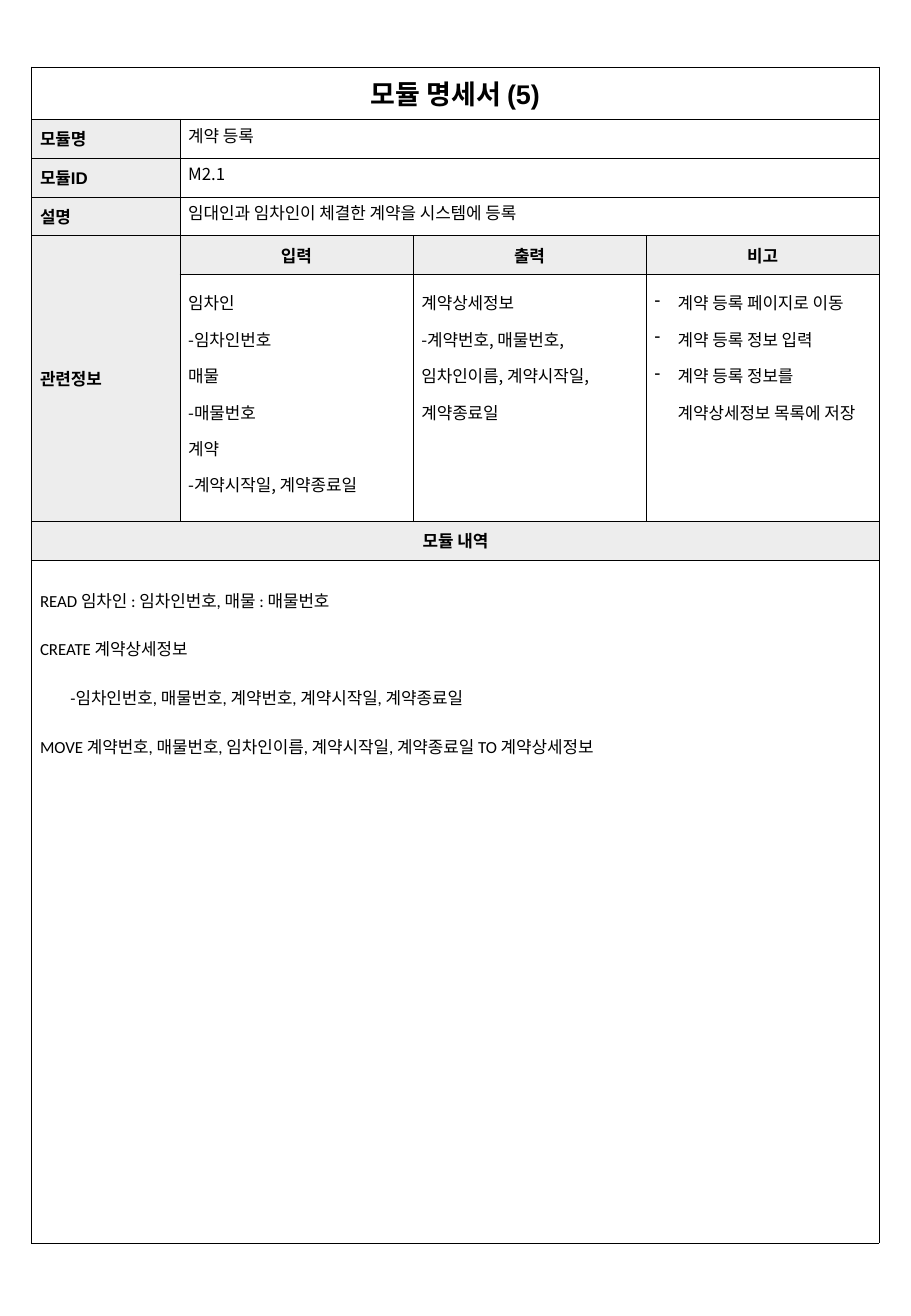
from pptx import Presentation
from pptx.dml.color import RGBColor as Rgb
from pptx.enum.text import MSO_ANCHOR as Anchor, PP_ALIGN as Align
from pptx.oxml import parse_xml as to_xml
from pptx.oxml.ns import nsdecls
from pptx.util import Inches, Pt

BLACK, WHITE, GREY = "000000", "FFFFFF", "EDEDED"
HEAD, BODY, CODE = "Arial", "Noto Sans CJK KR", "Calibri"
COLS = [122, 192, 192, 192]
ROWS = [43, 32, 32, 32, 32, 203, 32, 562]
FACTS = [
    ("모듈명", "계약 등록"),
    ("모듈ID", "M2.1"),
    ("설명", "임대인과 임차인이 체결한 계약을 시스템에 등록"),
]
INPUT = ["임차인", "-임차인번호", "매물", "-매물번호", "계약", "-계약시작일, 계약종료일"]
OUTPUT = ["계약상세정보", "-계약번호, 매물번호, 임차인이름, 계약시작일, 계약종료일"]
NOTES = ["계약 등록 페이지로 이동", "계약 등록 정보 입력",
         "계약 등록 정보를 계약상세정보 목록에 저장"]
STEPS = [
    "READ 임차인 : 임차인번호, 매물 : 매물번호",
    "CREATE 계약상세정보",
    "-임차인번호, 매물번호, 계약번호, 계약시작일, 계약종료일",
    "MOVE 계약번호, 매물번호, 임차인이름, 계약시작일, 계약종료일 TO 계약상세정보",
]


def color(code):
    return Rgb.from_string(code)


def write(para, text, font=BODY, size=10, bold=False, align=Align.LEFT,
          gap=None, left=0, bullet=None):
    para.alignment = align
    if gap:
        para.line_spacing = gap
    props = para._p.get_or_add_pPr()
    if left:
        props.set("marL", str(Inches(left)))
    if bullet:
        props.set("indent", str(-Inches(left)))
        props.append(to_xml(f'<a:buChar {nsdecls("a")} char="{bullet}"/>'))
    run = para.add_run()
    run.text = text
    run.font.name, run.font.size, run.font.bold = font, Pt(size), bold
    run.font.color.rgb = color(BLACK)
    run._r.get_or_add_rPr().append(
        to_xml(f'<a:ea {nsdecls("a")} typeface="{BODY}"/>'))


class Sheet:
    """A page with one ruled table on a grid of 750 by 1083 units."""

    def __init__(self, width=7.5, height=10.83):
        self.deck = Presentation()
        self.deck.slide_width = Inches(width)
        self.deck.slide_height = Inches(height)
        self.slide = self.deck.slides.add_slide(self.deck.slide_layouts[6])
        self.unit = self.deck.slide_width // 750

    def grid(self, left, top, cols, rows):
        box = [self.unit * n for n in (left, top, sum(cols), sum(rows))]
        self.table = self.slide.shapes.add_table(len(rows), len(cols), *box).table
        self.table.first_row = self.table.horz_banding = False
        for col, size in zip(self.table.columns, cols):
            col.width = self.unit * size
        for row, size in zip(self.table.rows, rows):
            row.height = self.unit * size
        for cell in self.table.iter_cells():
            self.rule(cell)

    def rule(self, cell):
        cell.fill.solid()
        cell.fill.fore_color.rgb = color(WHITE)
        props = cell._tc.get_or_add_tcPr()
        for place, side in enumerate("LRTB"):
            props.insert(place, to_xml(
                f'<a:ln{side} {nsdecls("a")} w="{Pt(0.25)}"><a:solidFill>'
                f'<a:srgbClr val="{BLACK}"/></a:solidFill></a:ln{side}>'))

    def cell(self, row, col, lines, tall=1, wide=1, fill=WHITE,
             anchor=Anchor.TOP, lefts=None, **style):
        cell = self.table.cell(row, col)
        if tall * wide > 1:
            cell.merge(self.table.cell(row + tall - 1, col + wide - 1))
        cell.fill.fore_color.rgb = color(fill)
        cell.vertical_anchor = anchor
        cell.margin_left = cell.margin_right = self.unit * 7
        cell.margin_top = cell.margin_bottom = self.unit * 3
        frame = cell.text_frame
        for n, text in enumerate(lines):
            para = frame.add_paragraph() if n else frame.paragraphs[0]
            if lefts:
                style["left"] = lefts[n]
            write(para, text, **style)

    def label(self, row, col, text, fill=GREY, **style):
        self.cell(row, col, [text], fill=fill, anchor=Anchor.MIDDLE,
                  font=HEAD, bold=True, **style)


def main():
    page = Sheet()
    page.grid(26, 55, COLS, ROWS)
    page.label(0, 0, "모듈 명세서 (5)", fill=WHITE, wide=4, size=16,
               align=Align.CENTER)
    for row, (name, value) in enumerate(FACTS, 1):
        page.label(row, 0, name)
        page.cell(row, 1, [value], wide=3)
    page.label(4, 0, "관련정보", tall=2)
    parts = [("입력", INPUT, {}), ("출력", OUTPUT, {}),
             ("비고", NOTES, {"left": 0.19, "bullet": "-"})]
    for col, (name, lines, style) in enumerate(parts, 1):
        page.label(4, col, name, align=Align.CENTER)
        page.cell(5, col, lines, gap=1.5, **style)
    page.label(6, 0, "모듈 내역", wide=4, align=Align.CENTER)
    page.cell(7, 0, STEPS, wide=4, font=CODE, gap=2.0, lefts=[0, 0, 0.25, 0])
    page.deck.save("out.pptx")


if __name__ == "__main__":
    main()
